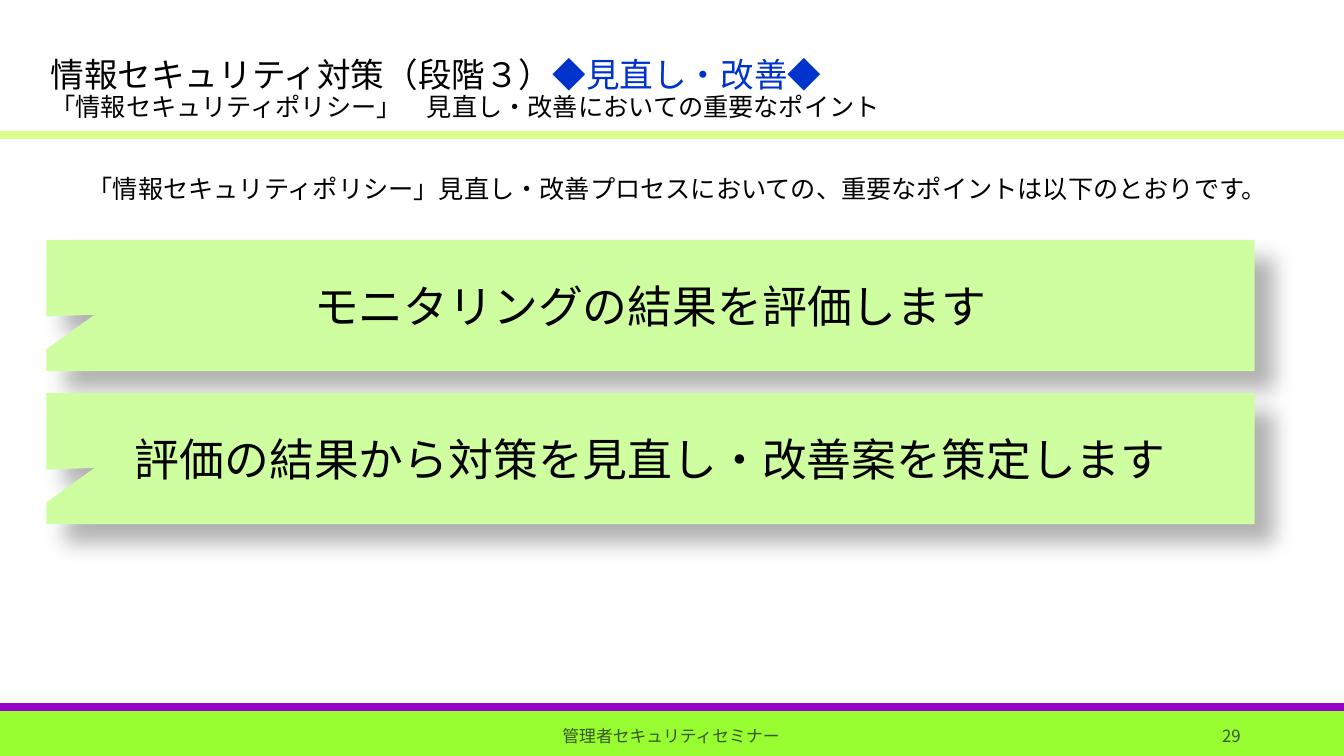
from lxml import etree
from pptx import Presentation
from pptx import util as u
from pptx.dml.color import RGBColor
from pptx.enum import shapes, text
from pptx.oxml.ns import qn

FONT = "Noto Sans CJK JP"
LEFT, CENTER, RIGHT = text.PP_ALIGN.LEFT, text.PP_ALIGN.CENTER, text.PP_ALIGN.RIGHT


def rgb(value):
    """Turn a hex string into a colour."""
    return RGBColor.from_string(value)


def box(left, top, width, height):
    """Return a box given in centimetres."""
    return tuple(u.Cm(v) for v in (left, top, width, height))


def format_run(r, size, color):
    """Set font, size and colour of a run."""
    r.font.name = FONT
    r.font.size = u.Pt(size)
    r.font.color.rgb = rgb(color)
    etree.SubElement(r.font._element, qn("a:ea"), typeface=FONT)


def write(tf, words, size, color="000000", align=LEFT, anchor=text.MSO_ANCHOR.MIDDLE):
    """Fill a text frame with one formatted paragraph."""
    tf.word_wrap = True
    tf.vertical_anchor = anchor
    tf.text = words
    p = tf.paragraphs[0]
    p.alignment = align
    format_run(p.runs[0], size, color)


def add_label(s, area, *args, **kwargs):
    """Add a text box with one paragraph."""
    write(s.shapes.add_textbox(*area).text_frame, *args, **kwargs)


def add_rule(s, left, top, width, color):
    """Add a thick horizontal rule."""
    line = s.shapes.add_connector(shapes.MSO_CONNECTOR.STRAIGHT, left, top, left + width, top)
    line.line.color.rgb = rgb(color)
    line.line.width = u.Pt(6)
    etree.SubElement(line._element.spPr, qn("a:effectLst"))


def add_footer(s, left, top, width, height):
    """Add the footer band with its rule, seminar name and page number."""
    band = s.shapes.add_shape(shapes.MSO_SHAPE.RECTANGLE, left, top, width, height)
    band.shadow.inherit = False
    band.fill.solid()
    band.fill.fore_color.rgb = rgb("97FD31")
    band.line.fill.background()
    add_rule(s, left, top + u.Cm(0.03), width, "9900CC")
    row = top + u.Cm(0.25)
    for words, offset, span, align in (("管理者セキュリティセミナー", 11.2, 11.43, CENTER),
                                       ("29", 23.9, 7.62, RIGHT)):
        area = left + u.Cm(offset), row, u.Cm(span), u.Cm(1.02)
        add_label(s, area, words, 12, "385723", align)


def add_header(s, left, top, width, height):
    """Fill the title placeholder with a heading and a subheading."""
    sp = s.shapes.title
    sp.left, sp.top, sp.width, sp.height = left, top, width, height
    tf = sp.text_frame
    tf.auto_size = text.MSO_AUTO_SIZE.NONE
    tf.vertical_anchor = text.MSO_ANCHOR.BOTTOM
    p = tf.paragraphs[0]
    p.text = "情報セキュリティ対策（段階３）"
    p.alignment = LEFT
    p.line_spacing = 0.9
    p.add_run().text = "◆見直し・改善◆"
    p.add_line_break()
    p.add_run().text = "「情報セキュリティポリシー」　見直し・改善においての重要なポイント"
    for r, size, color in zip(p.runs, (24, 24, 18), ("000000", "0033CC", "000000")):
        format_run(r, size, color)
    etree.SubElement(p._p.find(qn("a:br")), qn("a:rPr"), sz="2400")


def add_point(s, left, top, width, height, words):
    """Add a callout with a soft shadow for one key point."""
    sp = s.shapes.add_shape(shapes.MSO_SHAPE.RECTANGULAR_CALLOUT, left, top, width, height)
    sp.adjustments[0], sp.adjustments[1] = -0.46, 0.07
    sp.fill.solid()
    sp.fill.fore_color.rgb = rgb("CFFEA0")
    sp.line.fill.background()
    sp.shadow.inherit = False
    effects = sp._element.spPr.find(qn("a:effectLst"))
    shadow = etree.SubElement(effects, qn("a:outerShdw"), blurRad=str(u.Pt(15)),
                              dist=str(u.Pt(18)), dir="2700000", algn="tl", rotWithShape="0")
    black = etree.SubElement(shadow, qn("a:srgbClr"), val="000000")
    etree.SubElement(black, qn("a:alpha"), val="30000")
    tf = sp.text_frame
    tf.margin_left = tf.margin_top = tf.margin_right = tf.margin_bottom = 0
    write(tf, words, 32, align=CENTER)


def add_points(s, left, top, width, height, points):
    """Stack the key points evenly in the box."""
    gap = u.Cm(0.56)
    each = (height - gap * (len(points) - 1)) // len(points)
    for i, words in enumerate(points):
        add_point(s, left, top + i * (each + gap), width, each, words)


def main():
    """Build the slide and save it."""
    prs = Presentation()
    prs.slide_width, prs.slide_height = u.Cm(33.87), u.Cm(19.05)
    s = prs.slides.add_slide(prs.slide_layouts[5])
    add_footer(s, *box(0, 17.78, 33.87, 1.27))
    add_rule(s, *box(0, 3.4, 33.87, 0)[:3], "DBFF8B")
    add_header(s, *box(1.02, 0.84, 29.77, 2.36))
    add_points(s, *box(1.17, 6.05, 30.45, 7.16),
               ["モニタリングの結果を評価します", "評価の結果から対策を見直し・改善案を策定します"])
    add_label(s, box(1.96, 4.24, 31.42, 1.8),
              "「情報セキュリティポリシー」見直し・改善プロセスにおいての、重要なポイントは以下のとおりです。",
              18, anchor=text.MSO_ANCHOR.TOP)
    prs.save("out.pptx")


if __name__ == "__main__":
    main()
